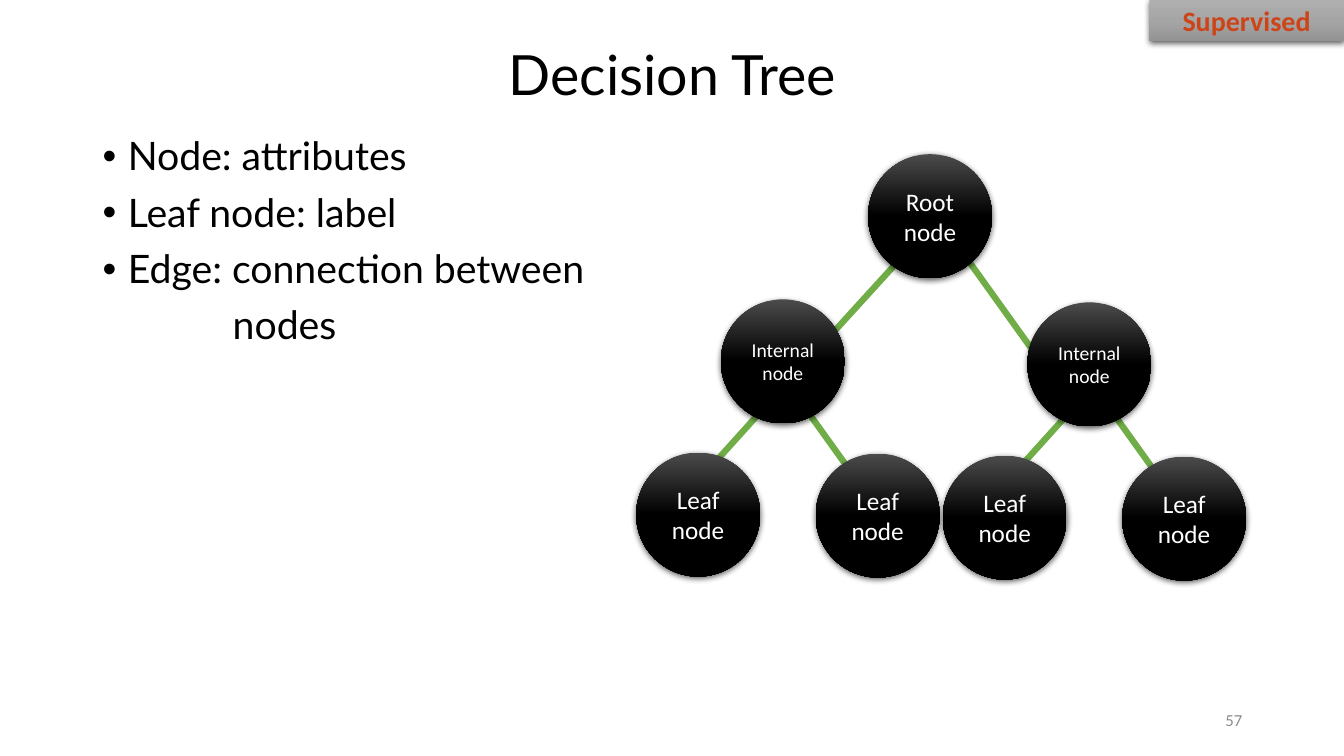
from lxml import etree
from pptx import Presentation
from pptx.dml.color import RGBColor
from pptx.enum.shapes import MSO_CONNECTOR, MSO_SHAPE
from pptx.enum.text import MSO_ANCHOR, PP_ALIGN
from pptx.oxml import parse_xml
from pptx.oxml.ns import nsdecls, qn
from pptx.util import Inches, Pt

LEFT, CENTER, RIGHT = PP_ALIGN.LEFT, PP_ALIGN.CENTER, PP_ALIGN.RIGHT
TOP, MIDDLE = MSO_ANCHOR.TOP, MSO_ANCHOR.MIDDLE
OVAL, RECTANGLE = MSO_SHAPE.OVAL, MSO_SHAPE.RECTANGLE
STRAIGHT = MSO_CONNECTOR.STRAIGHT

BLACK = RGBColor(0x00, 0x00, 0x00)
WHITE = RGBColor(0xFF, 0xFF, 0xFF)
GREEN = RGBColor(0x70, 0xAD, 0x47)
ORANGE = RGBColor(0xCC, 0x44, 0x18)
GRAY = RGBColor(0x8C, 0x8C, 0x8C)
NODE_GRADIENT = (RGBColor(0x4B, 0x4B, 0x4B), BLACK, BLACK)
TAG_GRADIENT = (RGBColor(0xAF, 0xAF, 0xAF), RGBColor(0xA5, 0xA5, 0xA5),
                RGBColor(0x93, 0x93, 0x93))

NODE_SIZE = 1.23
SUBTREE_OFFSETS = ((0, 0), (3.04, 0.03))
ROOT_EDGES = ((9.45, 2.37, 10.26, 3.5), (9.21, 2.26, 8.29, 3.27))
SUBTREE_EDGES = ((7.72, 3.89, 6.8, 4.91), (7.8, 3.79, 8.61, 4.92))
SUBTREE_NODES = ((7.15, 2.97, ("Internal", "node"), 14),
                 (8.09, 4.5, ("Leaf node",), 18),
                 (6.31, 4.49, ("Leaf node",), 18))


class SlideBuilder:
    heading_font = "Lato"
    label_font = "Calibri"

    def __init__(self, slide):
        self.slide = slide

    def add_text(self, paragraph, text, size, color, font, align, bold=False):
        paragraph.alignment = align
        run = paragraph.add_run()
        run.text = text
        run.font.name = font
        run.font.size = Pt(size)
        run.font.color.rgb = color
        run.font.bold = bold

    def text_box(self, left, top, width, height, anchor):
        box = self.slide.shapes.add_textbox(
            Inches(left), Inches(top), Inches(width), Inches(height))
        frame = box.text_frame
        frame.word_wrap = True
        frame.vertical_anchor = anchor
        return frame

    def line_of_text(self, left, top, width, height, text, size, color, font, align):
        frame = self.text_box(left, top, width, height, MIDDLE)
        self.add_text(frame.paragraphs[0], text, size, color, font, align)
        frame.paragraphs[0].line_spacing = 0.9

    def bullet_list(self, left, top, width, height, items):
        """Each item is its text, its left indent in inches, and whether it has a bullet."""
        frame = self.text_box(left, top, width, height, TOP)
        for index, (text, indent, bulleted) in enumerate(items):
            paragraph = frame.add_paragraph() if index else frame.paragraphs[0]
            properties = paragraph._p.get_or_add_pPr()
            properties.set("marL", str(Inches(indent)))
            properties.set("indent", str(Inches(-0.25 if bulleted else 0)))
            if bulleted:
                etree.SubElement(properties, qn("a:buFont"), typeface="Arial")
                etree.SubElement(properties, qn("a:buChar"), char="•")
            paragraph.line_spacing = 0.9
            if index:
                paragraph.space_before = Pt(10)
            self.add_text(paragraph, text, 28, BLACK, self.heading_font, LEFT)

    def glossy_shape(self, kind, left, top, width, height, gradient,
                     lines, size, color, bold=False):
        """Add a shape with a vertical three-stop gradient and a soft shadow."""
        shape = self.slide.shapes.add_shape(
            kind, Inches(left), Inches(top), Inches(width), Inches(height))
        shape.line.fill.background()
        shape.shadow.inherit = False
        shape.fill.background()
        properties = shape._element.spPr
        stops = "".join(
            f'<a:gs pos="{index * 50000}"><a:srgbClr val="{stop}"/></a:gs>'
            for index, stop in enumerate(gradient))
        properties.replace(properties.find(qn("a:noFill")), parse_xml(
            f'<a:gradFill {nsdecls("a")} rotWithShape="1"><a:gsLst>{stops}</a:gsLst>'
            '<a:lin ang="5400000" scaled="0"/></a:gradFill>'))
        properties.find(qn("a:effectLst")).append(parse_xml(
            f'<a:outerShdw {nsdecls("a")} blurRad="{Pt(4.5)}" dist="{Pt(1.5)}" '
            'dir="5400000" algn="ctr" rotWithShape="0">'
            f'<a:srgbClr val="{BLACK}"><a:alpha val="63000"/></a:srgbClr></a:outerShdw>'))
        frame = shape.text_frame
        frame.word_wrap = True
        frame.vertical_anchor = MIDDLE
        for index, text in enumerate(lines):
            paragraph = frame.add_paragraph() if index else frame.paragraphs[0]
            self.add_text(paragraph, text, size, color, self.label_font, CENTER, bold)

    def node(self, left, top, lines, size):
        self.glossy_shape(OVAL, left, top, NODE_SIZE, NODE_SIZE,
                          NODE_GRADIENT, lines, size, WHITE)

    def edge(self, start_x, start_y, end_x, end_y):
        connector = self.slide.shapes.add_connector(
            STRAIGHT, Inches(start_x), Inches(start_y), Inches(end_x), Inches(end_y))
        connector.line.color.rgb = GREEN
        connector.line.width = Pt(4.5)
        etree.SubElement(connector._element.spPr, qn("a:effectLst"))


def main():
    presentation = Presentation()
    presentation.slide_width = Inches(13.33)
    presentation.slide_height = Inches(7.5)
    builder = SlideBuilder(presentation.slides.add_slide(presentation.slide_layouts[6]))

    builder.line_of_text(0.92, 0.4, 11.5, 0.73, "Decision Tree", 39.6, BLACK,
                         builder.heading_font, CENTER)
    builder.bullet_list(0.92, 1.31, 11.5, 5.45, (
        ("Node: attributes", 0.25, True),
        ("Leaf node: label", 0.25, True),
        ("Edge: connection between", 0.25, True),
        ("nodes", 1.29, False)))

    for edge in ROOT_EDGES:
        builder.edge(*edge)
    builder.node(8.61, 1.53, ("Root node",), 18)
    for shift_x, shift_y in SUBTREE_OFFSETS:
        for start_x, start_y, end_x, end_y in SUBTREE_EDGES:
            builder.edge(start_x + shift_x, start_y + shift_y,
                         end_x + shift_x, end_y + shift_y)
        for left, top, lines, size in SUBTREE_NODES:
            builder.node(left + shift_x, top + shift_y, lines, size)

    builder.glossy_shape(RECTANGLE, 11.4, 0, 1.93, 0.41, TAG_GRADIENT,
                         ("Supervised",), 20, ORANGE, bold=True)
    builder.line_of_text(9.42, 6.95, 3, 0.4, "57", 12, GRAY, builder.label_font, RIGHT)
    presentation.save("out.pptx")


if __name__ == "__main__":
    main()
